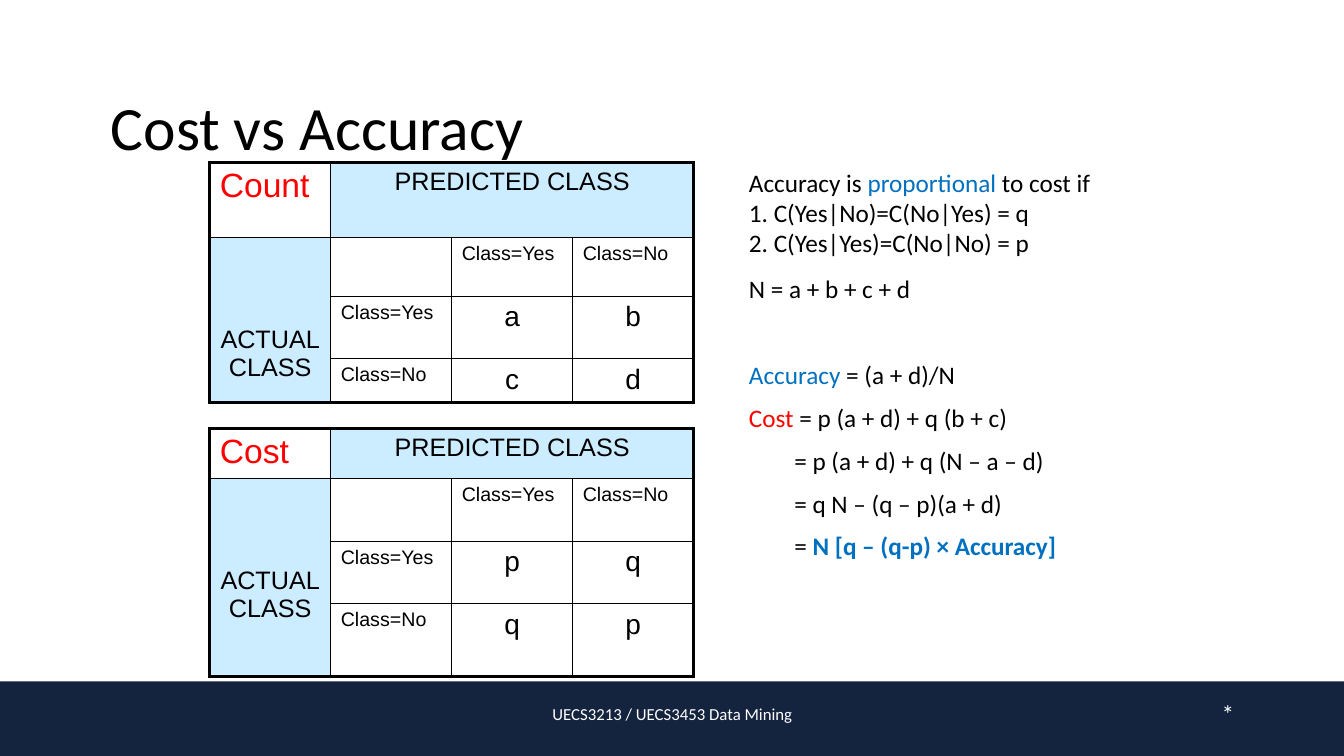
from lxml import etree
from pptx import Presentation
from pptx.dml.color import RGBColor
from pptx.enum.shapes import MSO_SHAPE
from pptx.enum.text import MSO_ANCHOR, PP_ALIGN
from pptx.oxml.ns import qn
from pptx.util import Inches, Pt

RECT = MSO_SHAPE.RECTANGLE
TOP, MIDDLE = MSO_ANCHOR.TOP, MSO_ANCHOR.MIDDLE
LEFT, CENTER, RIGHT = PP_ALIGN.LEFT, PP_ALIGN.CENTER, PP_ALIGN.RIGHT

COLORS = {
    "black": "000000",
    "white": "FFFFFF",
    "navy": "14233E",
    "header": "CCECFF",
    "red": "FF0000",
    "blue": "0070C0",
}
OUTER, INNER = Pt(2.25), Pt(1)
EQUATION_INDENT = Inches(0.45)


def rgb(name):
    return RGBColor.from_string(COLORS[name])


def style_font(font, size, color=None, name="Calibri"):
    font.name, font.size = name, Pt(size)
    if color:
        font.color.rgb = rgb(color)


def add_text(s, box, lines, size=18, color=None, align=LEFT, anchor=TOP):
    """Each line is (space before, indent, [(text, color, bold), ...])."""
    tf = s.shapes.add_textbox(*map(Inches, box)).text_frame
    tf.word_wrap = True
    tf.vertical_anchor = anchor
    for i, (before, indent, runs) in enumerate(lines):
        p = tf.paragraphs[0] if i == 0 else tf.add_paragraph()
        p.alignment = align
        p.space_before = Pt(before)
        if indent:
            pPr = p._p.get_or_add_pPr()
            pPr.set("marL", str(indent))
            pPr.set("indent", "0")
        style_font(p.font, size, color)
        for text, run_color, bold in runs:
            r = p.add_run()
            r.text = text
            r.font.color.rgb = rgb(run_color)
            if bold:
                r.font.bold = True
    return tf


def add_title(s, box, text):
    tf = add_text(s, box, [(0, 0, [(text, "black", False)])], 44, anchor=MIDDLE)
    tf.paragraphs[0].line_spacing = 0.9


# Confusion matrices
def set_borders(cell, row, col, last_row, last_col):
    bottom = row + (cell.span_height if cell.is_merge_origin else 1) - 1
    right = col + (cell.span_width if cell.is_merge_origin else 1) - 1
    edges = {
        "a:lnL": col == 0,
        "a:lnR": right == last_col,
        "a:lnT": row == 0,
        "a:lnB": bottom == last_row,
    }
    tcPr = cell._tc.get_or_add_tcPr()
    for tag, is_outer in edges.items():
        if cell.is_spanned and not is_outer:
            continue
        ln = etree.SubElement(tcPr, qn(tag), w=str(OUTER if is_outer else INNER))
        fill = etree.SubElement(ln, qn("a:solidFill"))
        etree.SubElement(fill, qn("a:srgbClr"), val=COLORS["black"])


def set_cell(cell, lines, size, color="black", align=LEFT):
    tf = cell.text_frame
    for i, line in enumerate(lines):
        p = tf.paragraphs[0] if i == 0 else tf.add_paragraph()
        p.text = line
        p.alignment = align
        style_font(p.font, size, color, "Arial")


def add_matrix(s, box, heights, name, values):
    n_rows, n_cols = len(heights), 4
    frame = s.shapes.add_table(n_rows, n_cols, *map(Inches, box))
    table = frame.table
    table.first_row = table.horz_banding = False
    for column in table.columns:
        column.width = Inches(box[2] / n_cols)
    for row, height in zip(table.rows, heights):
        row.height = Inches(height)

    predicted, actual = table.cell(0, 1), table.cell(1, 0)
    predicted.merge(table.cell(0, n_cols - 1))
    actual.merge(table.cell(n_rows - 1, 0))
    for row in range(n_rows):
        for col in range(n_cols):
            cell = table.cell(row, col)
            set_borders(cell, row, col, n_rows - 1, n_cols - 1)
            if (row == 0) != (col == 0):
                cell.fill.solid()
                cell.fill.fore_color.rgb = rgb("header")
            else:
                cell.fill.background()

    set_cell(table.cell(0, 0), [name], 24, "red")
    set_cell(predicted, ["PREDICTED CLASS"], 18, align=CENTER)
    set_cell(actual, ["ACTUAL", "CLASS"], 18, align=CENTER)
    actual.margin_top = Inches(0.87)
    for i, label in enumerate(("Class=Yes", "Class=No")):
        set_cell(table.cell(1, 2 + i), [label], 14)
        set_cell(table.cell(2 + i, 1), [label], 14)
        for j, value in enumerate(values[i]):
            set_cell(table.cell(2 + i, 2 + j), [value], 20, align=CENTER)


# Derivation beside the matrices
def add_derivation(s, left, top):
    def plain(text):
        return text, "black", False

    add_text(s, (left, top, 4.08, 1.01), [
        (0, 0, [plain("Accuracy is "), ("proportional", "blue", False),
                plain(" to cost if")]),
        (0, 0, [plain("1. C(Yes|No)=C(No|Yes) = q")]),
        (0, 0, [plain("2. C(Yes|Yes)=C(No|No) = p")]),
    ])
    add_text(s, (left, top + 1.05, 3.92, 3.59), [
        (0, 0, [plain("N = a + b + c + d")]),
        (40, 0, [("Accuracy ", "blue", False), plain("= (a + d)/N")]),
        (9, 0, [("Cost ", "red", False), plain("= p (a + d) + q (b + c)")]),
        (9, EQUATION_INDENT, [plain("= p (a + d) + q (N – a – d)")]),
        (9, EQUATION_INDENT, [plain("= q N – (q – p)(a + d)")]),
        (9, EQUATION_INDENT, [plain("= "),
                              ("N [q – (q-p) × Accuracy]", "blue", True)]),
    ])


# Footer band
def add_footer(s, left, top, width, height):
    band = s.shapes.add_shape(RECT, *map(Inches, (left, top, width, height)))
    band.shadow.inherit = False
    band.fill.solid()
    band.fill.fore_color.rgb = rgb("navy")
    band.line.fill.background()
    for x, w, text, size, align in (
        (4.56, 4.22, "UECS3213 / UECS3453 Data Mining", 12, CENTER),
        (9.56, 2.78, "*", 18, RIGHT),
    ):
        add_text(s, (left + x, top + 0.07, w, 0.5),
                 [(0, 0, [(text, "white", False)])], size,
                 align=align, anchor=MIDDLE)


def main():
    prs = Presentation()
    prs.slide_width, prs.slide_height = Inches(13.33), Inches(7.5)
    s = prs.slides.add_slide(prs.slide_layouts[6])
    add_footer(s, 0, 6.76, 13.33, 0.74)
    add_title(s, (1, 0.67, 11.33, 1.25), "Cost vs Accuracy")
    add_matrix(s, (2.08, 1.61, 4.8, 2.39), (0.75, 0.58, 0.62, 0.43),
               "Count", ("ab", "cd"))
    add_matrix(s, (2.08, 4.25, 4.8, 2.45), (0.5, 0.62, 0.62, 0.72),
               "Cost", ("pq", "qp"))
    add_derivation(s, 7.33, 1.61)
    prs.save("out.pptx")


if __name__ == "__main__":
    main()
